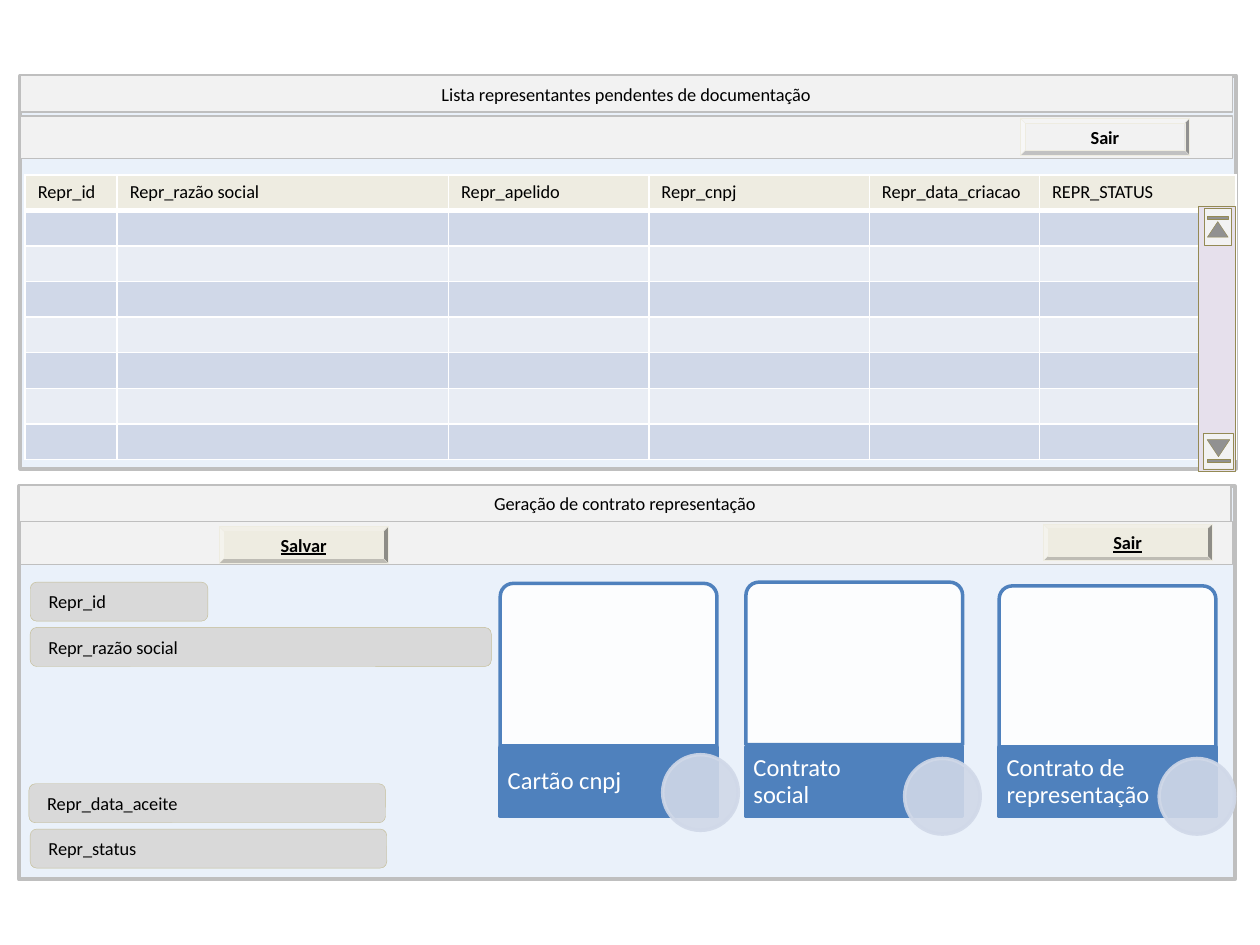
import pptx
import pptx.util
import pptx.dml.color
import pptx.enum.shapes
import pptx.enum.text
import pptx.oxml.ns
import lxml.etree

RGB = pptx.dml.color.RGBColor
SHAPE = pptx.enum.shapes.MSO_SHAPE
ALIGN = pptx.enum.text.PP_ALIGN
MIDDLE = pptx.enum.text.MSO_ANCHOR.MIDDLE
Pt = pptx.util.Pt
qn = pptx.oxml.ns.qn

WIDTH, HEIGHT = pptx.util.Inches(10), pptx.util.Inches(7.5)
UNIT = WIDTH // 100

BLACK, WHITE = RGB(0, 0, 0), RGB(255, 255, 255)
PANEL, BAR, EDGE = RGB(0xEA, 0xF1, 0xFA), RGB(0xF2, 0xF2, 0xF2), RGB(0xBF, 0xBF, 0xBF)
CREAM, FIELD, FIELD_EDGE = RGB(0xEE, 0xEC, 0xE1), RGB(0xD9, 0xD9, 0xD9), RGB(0xC4, 0xBD, 0x97)
SCROLL, OLIVE = RGB(0xE6, 0xE0, 0xEC), RGB(0x94, 0x8A, 0x54)
BLUE, BAND, LIGHT_BAND = RGB(0x4F, 0x81, 0xBD), RGB(0xD0, 0xD8, 0xE8), RGB(0xE9, 0xED, 0xF4)

HEADERS = ["Repr_id", "Repr_razão social", "Repr_apelido", "Repr_cnpj",
           "Repr_data_criacao", "REPR_STATUS"]
COLUMNS = [7.3, 26.3, 15.9, 17.5, 13.5, 15.6]
ROWS, ROW_HEIGHT = 8, 2.82
FIELDS = [("Repr_id", 2.4, 46.2, 14.1), ("Repr_razão social", 2.4, 49.8, 36.6),
          ("Repr_data_aceite", 2.3, 62.2, 28.3), ("Repr_status", 2.4, 65.8, 28.3)]
CARDS = [("Cartão cnpj", 39.7, 46.3, 52.6, 59.9),
         ("Contrato social", 59.2, 46.2, 71.8, 60.2),
         ("Contrato de representação", 79.3, 46.5, 92, 60.2)]


def grid(*cells):
    """Turn grid units into slide lengths."""
    return [round(cell * UNIT) for cell in cells]


def paint(sp, fill, line, weight):
    """Give a shape its fill and outline."""
    sp.fill.solid()
    sp.fill.fore_color.rgb = fill
    sp.line.color.rgb = line
    sp.line.width = Pt(weight)


def add_box(shapes, kind, box, fill, line, weight):
    """Add a flat preset shape."""
    sp = shapes.add_shape(kind, *grid(*box))
    sp.shadow.inherit = False
    paint(sp, fill, line, weight)
    return sp


def fade(sp):
    """Make the fill, and any outline of the same colour, 90% opaque."""
    fill = str(sp.fill.fore_color.rgb)
    colors = sp._element.spPr.iter(qn("a:srgbClr"))
    for color in [c for c in colors if c.get("val") == fill]:
        lxml.etree.SubElement(color, qn("a:alpha")).set("val", "90000")


def underline_cell(cell):
    """Give a cell a thick white bottom border."""
    line = lxml.etree.Element(qn("a:lnB"), w=str(Pt(3)))
    fill = lxml.etree.SubElement(line, qn("a:solidFill"))
    lxml.etree.SubElement(fill, qn("a:srgbClr")).set("val", str(WHITE))
    cell._tc.get_or_add_tcPr().insert(0, line)


def write(tf, text, align=ALIGN.LEFT, size=10.5, color=BLACK, bold=False, underline=False):
    """Write one formatted paragraph."""
    tf.word_wrap = True
    tf.vertical_anchor = MIDDLE
    p = tf.paragraphs[0]
    p.text = text
    p.alignment = align
    p.font.name, p.font.size = "Calibri", Pt(size)
    p.font.color.rgb = color
    p.font.bold, p.font.underline = bold, underline
    return p


def add_window(s, left, top, bar_left, bar_top, title_top, text, title=None):
    """Add a window with its title bar and tool bar."""
    add_box(s.shapes, SHAPE.RECTANGLE, (left, top, 96.5, 31.2), PANEL, EDGE, 2.25)
    title_box = (left, title_top, 96.2, 2.9)
    if title is None:
        title = add_box(s.shapes, SHAPE.RECTANGLE, title_box, BAR, EDGE, 0.75)
    else:
        title.left, title.top, title.width, title.height = grid(*title_box)
        paint(title, BAR, EDGE, 0.75)
        s.shapes._spTree.append(title._element)
    write(title.text_frame, text, ALIGN.CENTER)
    title.text_frame.auto_size = pptx.enum.text.MSO_AUTO_SIZE.NONE
    add_box(s.shapes, SHAPE.RECTANGLE, (bar_left, bar_top, 96.2, 3.4), BAR, EDGE, 0.75)


def add_button(s, text, left, top, fill=CREAM, underline=True):
    """Add a bevelled button."""
    sp = add_box(s.shapes, SHAPE.BEVEL, (left, top, 13.4, 2.9), fill, CREAM, 0.25)
    write(sp.text_frame, text, ALIGN.CENTER, bold=True, underline=underline)


def add_field(s, text, left, top, width):
    """Add a rounded form field."""
    sp = add_box(s.shapes, SHAPE.ROUNDED_RECTANGLE, (left, top, width, 3.1),
                 FIELD, FIELD_EDGE, 0.25)
    sp.text_frame.margin_left, = grid(1.3)
    write(sp.text_frame, text)


def add_list(s):
    """Add the banded table of representatives."""
    frame = s.shapes.add_table(ROWS, len(COLUMNS),
                               *grid(2, 13.9, sum(COLUMNS), ROWS * ROW_HEIGHT))
    table = frame.table
    for column, width in zip(table.columns, COLUMNS):
        column.width, = grid(width)
    for i, row in enumerate(table.rows):
        row.height, = grid(ROW_HEIGHT)
        for cell, header in zip(row.cells, HEADERS):
            cell.fill.solid()
            cell.fill.fore_color.rgb = (BAND if i % 2 else LIGHT_BAND) if i else CREAM
            p = cell.text_frame.paragraphs[0]
            p.font.name, p.font.size, p.font.bold = "Calibri", Pt(10.5), False
            p.font.color.rgb = BLACK
            if i == 0:
                p.text = header
                underline_cell(cell)
            else:
                p._p.get_or_add_endParaRPr().set("sz", "1050")


def add_scroll_bar(s):
    """Add the scroll bar with its two end buttons."""
    shapes = s.shapes.add_group_shape().shapes
    add_box(shapes, SHAPE.RECTANGLE, (95.1, 16.4, 2.9, 21), SCROLL, OLIVE, 0.25)
    for box, turn in [((95.2, 16.9, 2.9, 2.2), 270), ((95.3, 34.6, 2.8, 2.4), 90)]:
        sp = add_box(shapes, SHAPE.ACTION_BUTTON_END, box, BAR, OLIVE, 0.25)
        sp.rotation = turn


def add_card(s, text, left, top, dot_left, dot_top):
    """Add a document card with a caption and a dot."""
    shapes = s.shapes.add_group_shape().shapes
    page = add_box(shapes, SHAPE.ROUND_2_SAME_RECTANGLE, (left, top, 17.2, 12.9),
                   WHITE, BLUE, 2)
    page.adjustments[0], page.adjustments[1] = 0.08, 0
    fade(page)
    add_box(shapes, SHAPE.RECTANGLE, (left, 59.3, 17.2, 5.5), BLUE, BLUE, 2)
    tf = shapes.add_textbox(*grid(left, 59.3, 12.3, 5.5)).text_frame
    tf.margin_left, tf.margin_top, tf.margin_right, tf.margin_bottom = grid(0.6, 0, 0, 0)
    write(tf, text, size=14, color=WHITE).line_spacing = 0.9
    fade(add_box(shapes, SHAPE.OVAL, (dot_left, dot_top, 6, 6), BAND, BAND, 2))


def main():
    """Build the slide and save it."""
    prs = pptx.Presentation()
    prs.slide_width, prs.slide_height = WIDTH, HEIGHT
    s = prs.slides.add_slide(prs.slide_layouts[5])
    add_window(s, 1.6, 6, 1.6, 9.2, 6,
               "Lista representantes pendentes de documentação", s.shapes.title)
    add_button(s, "Sair", 81, 9.4, BAR, False)
    add_list(s)
    add_window(s, 1.5, 38.6, 1.6, 41.4, 38.5, "Geração de contrato representação")
    for field in FIELDS:
        add_field(s, *field)
    add_button(s, "Sair", 82.8, 41.6)
    add_scroll_bar(s)
    add_button(s, "Salvar", 17.4, 41.8)
    for card in CARDS:
        add_card(s, *card)
    prs.save("out.pptx")


main()
